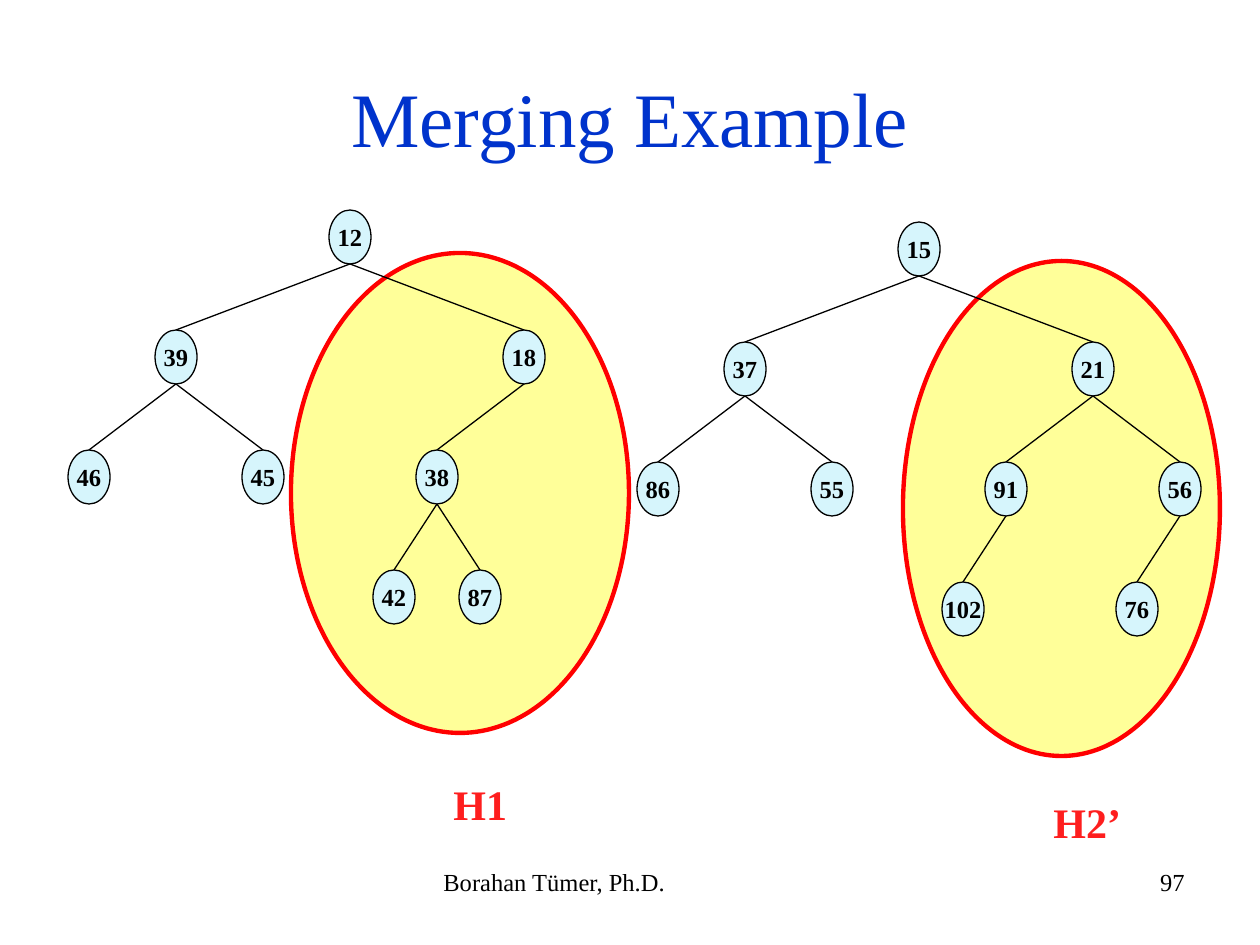
from dataclasses import dataclass
from typing import Optional

import pptx
import pptx.dml.color
import pptx.enum.shapes
import pptx.enum.text
import pptx.oxml
import pptx.oxml.ns
import pptx.util

RGBColor = pptx.dml.color.RGBColor
PP_ALIGN = pptx.enum.text.PP_ALIGN
ANCHOR = pptx.enum.text.MSO_ANCHOR
AUTO_SIZE = pptx.enum.text.MSO_AUTO_SIZE
OVAL = pptx.enum.shapes.MSO_SHAPE.OVAL
STRAIGHT = pptx.enum.shapes.MSO_CONNECTOR.STRAIGHT

PX_PER_INCH = 126
FONT = "Times New Roman"
BLACK = RGBColor(0x00, 0x00, 0x00)
TITLE_BLUE = RGBColor(0x00, 0x33, 0xCC)
NODE_BLUE = RGBColor(0xD6, 0xF5, 0xFC)
SUBHEAP_YELLOW = RGBColor(0xFF, 0xFF, 0x99)
RING_RED = RGBColor(0xFF, 0x00, 0x00)
LABEL_RED = RGBColor(0xFE, 0x1E, 0x1E)

NODE_W, NODE_H = 42, 54
LEVEL_STEP = 120
ROOT_SPREAD = 174


@dataclass(frozen=True)
class Box:
    left: int
    top: int
    width: int
    height: int

    def emu(self) -> list[int]:
        return [px(n) for n in (self.left, self.top, self.width, self.height)]


@dataclass(frozen=True)
class Node:
    value: int
    left: Optional["Node"] = None
    right: Optional["Node"] = None


@dataclass(frozen=True)
class Heap:
    root: Node
    root_x: int
    root_top: int
    ring: Box
    label: str
    label_box: Box


HEAPS = [
    Heap(
        Node(12,
             Node(39, Node(46), Node(45)),
             Node(18, Node(38, Node(42), Node(87)))),
        350, 210, Box(291, 253, 338, 480), "H1", Box(441, 772, 97, 63)),
    Heap(
        Node(15,
             Node(37, Node(86), Node(55)),
             Node(21, Node(91, Node(102)), Node(56, Node(76)))),
        919, 222, Box(903, 261, 317, 495), "H2’", Box(1041, 790, 97, 63)),
]


def px(length: int) -> int:
    return round(length * 914400 / PX_PER_INCH)


def write(frame, text: str, *, size: int, color=BLACK, bold=False,
          align=PP_ALIGN.LEFT, anchor=ANCHOR.TOP, wrap=True,
          auto_size=AUTO_SIZE.NONE) -> None:
    frame.word_wrap = wrap
    frame.auto_size = auto_size
    frame.vertical_anchor = anchor
    paragraph = frame.paragraphs[0]
    paragraph.alignment = align
    run = paragraph.add_run()
    run.text = text
    run.font.name = FONT
    run.font.size = pptx.util.Pt(size)
    run.font.bold = bold
    run.font.color.rgb = color


def add_text(shapes, box: Box, text: str, **text_format) -> None:
    write(shapes.add_textbox(*box.emu()).text_frame, text, **text_format)


def add_oval(shapes, box: Box, fill: RGBColor, line: RGBColor, weight: float):
    oval = shapes.add_shape(OVAL, *box.emu())
    oval.shadow.inherit = False
    oval.fill.solid()
    oval.fill.fore_color.rgb = fill
    oval.line.color.rgb = line
    oval.line.width = pptx.util.Pt(weight)
    return oval


def add_edge(shapes, x1: int, y1: int, x2: int, y2: int) -> None:
    edge = shapes.add_connector(STRAIGHT, px(x1), px(y1), px(x2), px(y2))
    edge.line.color.rgb = BLACK
    edge.line.width = pptx.util.Pt(0.75)
    properties = edge._element.find(pptx.oxml.ns.qn("p:spPr"))
    properties.append(pptx.oxml.parse_xml(
        f"<a:effectLst {pptx.oxml.ns.nsdecls('a')}/>"))


def add_tree(shapes, node: Node, x: int, top: int, spread: int) -> None:
    """Draw a node centred on x, then its subtrees; spread halves per level."""
    oval = add_oval(shapes, Box(x - NODE_W // 2, top, NODE_W, NODE_H),
                    NODE_BLUE, BLACK, 0.75)
    write(oval.text_frame, str(node.value), size=14, bold=True,
          align=PP_ALIGN.CENTER, anchor=ANCHOR.MIDDLE, wrap=False)
    child_top = top + LEVEL_STEP
    for child, child_x in ((node.left, x - spread), (node.right, x + spread)):
        if child:
            add_edge(shapes, x, top + NODE_H, child_x, child_top)
            add_tree(shapes, child, child_x, child_top, spread // 2)


def add_heap(shapes, heap: Heap) -> None:
    heap_parts = shapes.add_group_shape().shapes
    add_oval(heap_parts, heap.ring, SUBHEAP_YELLOW, RING_RED, 2.5)
    add_tree(heap_parts, heap.root, heap.root_x, heap.root_top, ROOT_SPREAD)
    add_text(shapes, heap.label_box, heap.label, size=24, color=LABEL_RED,
             bold=True, auto_size=AUTO_SIZE.SHAPE_TO_FIT_TEXT)


def main() -> None:
    deck = pptx.Presentation()
    deck.slide_width, deck.slide_height = px(1260), px(945)
    slide = deck.slides.add_slide(deck.slide_layouts.get_by_name("Title Only"))

    title = slide.shapes.title
    title.left, title.top, title.width, title.height = Box(63, 38, 1134, 158).emu()
    write(title.text_frame, "Merging Example", size=44, color=TITLE_BLUE,
          align=PP_ALIGN.CENTER, anchor=ANCHOR.MIDDLE)

    for heap in HEAPS:
        add_heap(slide.shapes, heap)

    add_text(slide.shapes, Box(431, 861, 399, 66), "Borahan Tümer, Ph.D.", size=14)
    add_text(slide.shapes, Box(903, 861, 294, 66), "97", size=14,
             align=PP_ALIGN.RIGHT)
    deck.save("out.pptx")


if __name__ == "__main__":
    main()
